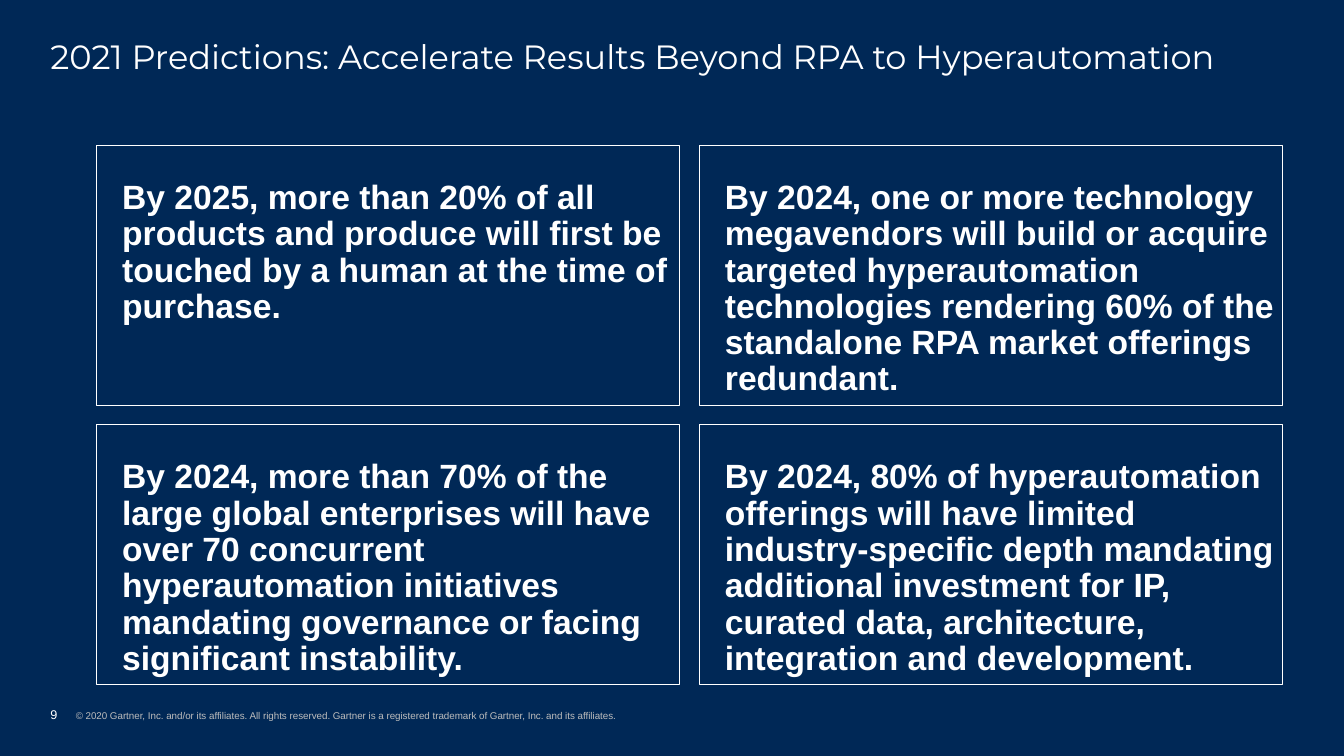
from dataclasses import dataclass

from lxml import etree
from pptx import Presentation
from pptx import util as u
from pptx.dml.color import RGBColor
from pptx.enum import shapes, text
from pptx.oxml.ns import qn

COLORS = {"navy": "002856", "white": "FFFFFF", "grey": "BDBDBD"}

# Grid of prediction boxes, in centimetres
LEFT, TOP = 2.44, 3.66
WIDTH, HEIGHT = 14.68, 6.55
GAP_X, GAP_Y = 0.51, 0.49
INDENT = 0.64

FRAME = {"word_wrap": True, "margin_left": 0, "margin_right": 0,
         "margin_top": 0, "margin_bottom": 0,
         "auto_size": text.MSO_AUTO_SIZE.NONE,
         "vertical_anchor": text.MSO_ANCHOR.TOP}
PARAGRAPH = {"alignment": text.PP_ALIGN.LEFT, "line_spacing": 0.9}


@dataclass
class Prediction:
    row: int
    column: int
    statement: str


PREDICTIONS = [
    Prediction(0, 0, "By 2025, more than 20% of all products and produce will first be "
                     "touched by a human at the time of purchase."),
    Prediction(0, 1, "By 2024, one or more technology megavendors will build or acquire "
                     "targeted hyperautomation technologies rendering 60% of the "
                     "standalone RPA market offerings redundant."),
    Prediction(1, 0, "By 2024, more than 70% of the large global enterprises will have "
                     "over 70 concurrent hyperautomation initiatives mandating "
                     "governance or facing significant instability."),
    Prediction(1, 1, "By 2024, 80% of hyperautomation offerings will have limited "
                     "industry-specific depth mandating additional investment for IP, "
                     "curated data, architecture, integration and development."),
]


def rgb(name: str) -> RGBColor:
    return RGBColor.from_string(COLORS[name])


def apply(target, values: dict) -> None:
    for attribute, value in values.items():
        setattr(target, attribute, value)


def add_words(paragraph, words: str, size: float, color: str = "white",
              font: str = "Arial", bold: bool = False) -> None:
    run = paragraph.add_run()
    run.text = words
    apply(run.font, {"name": font, "size": u.Pt(size), "bold": bold})
    run.font.color.rgb = rgb(color)


def add_prediction(slide, prediction: Prediction) -> None:
    box = slide.shapes.add_shape(
        shapes.MSO_SHAPE.RECTANGLE,
        u.Cm(LEFT + prediction.column * (WIDTH + GAP_X)),
        u.Cm(TOP + prediction.row * (HEIGHT + GAP_Y)),
        u.Cm(WIDTH), u.Cm(HEIGHT))
    box.shadow.inherit = False
    box.fill.background()
    box.line.color.rgb = rgb("white")
    box.line.width = u.Pt(0.75)
    apply(box.text_frame, FRAME | {"margin_left": u.Cm(INDENT), "margin_top": u.Cm(0.89)})
    statement = box.text_frame.paragraphs[0]
    apply(statement, PARAGRAPH)
    add_words(statement, prediction.statement, 24, bold=True)


def add_title(slide, words: str) -> None:
    title = slide.shapes.title
    apply(title, {"left": u.Cm(1.27), "top": u.Cm(1.02),
                  "width": u.Cm(31.32), "height": u.Cm(1.22)})
    apply(title.text_frame, FRAME)
    heading = title.text_frame.paragraphs[0]
    apply(heading, PARAGRAPH | {"space_before": u.Pt(0)})
    add_words(heading, words, 24, font="Montserrat")


def add_footer(slide, number: str, notice: str) -> None:
    footer = slide.shapes.add_textbox(u.Cm(1.27), u.Cm(17.81), u.Cm(19.94), u.Cm(0.38))
    apply(footer.text_frame, FRAME | {"vertical_anchor": text.MSO_ANCHOR.BOTTOM})
    line = footer.text_frame.paragraphs[0]
    # Hanging indent with a tab stop between number and notice
    indent = u.Cm(INDENT)
    properties = line._p.get_or_add_pPr()
    properties.set("marL", str(indent))
    properties.set("indent", str(-indent))
    stops = etree.SubElement(properties, qn("a:tabLst"))
    etree.SubElement(stops, qn("a:tab"), pos=str(indent), algn="l")
    add_words(line, number, 9)
    add_words(line, "\t" + notice, 7, "grey")


def main() -> None:
    deck = Presentation()
    apply(deck, {"slide_width": u.Cm(33.87), "slide_height": u.Cm(19.05)})
    slide = deck.slides.add_slide(deck.slide_layouts[5])
    slide.background.fill.solid()
    slide.background.fill.fore_color.rgb = rgb("navy")

    # Title, predictions and footer
    add_title(slide, "2021 Predictions: Accelerate Results Beyond RPA to Hyperautomation")
    for prediction in PREDICTIONS:
        add_prediction(slide, prediction)
    add_footer(slide, "9", "© 2020 Gartner, Inc. and/or its affiliates. All rights reserved.\u00a0"
                           "Gartner is a registered trademark of Gartner, Inc. and its affiliates.")
    deck.save("out.pptx")


if __name__ == "__main__":
    main()
